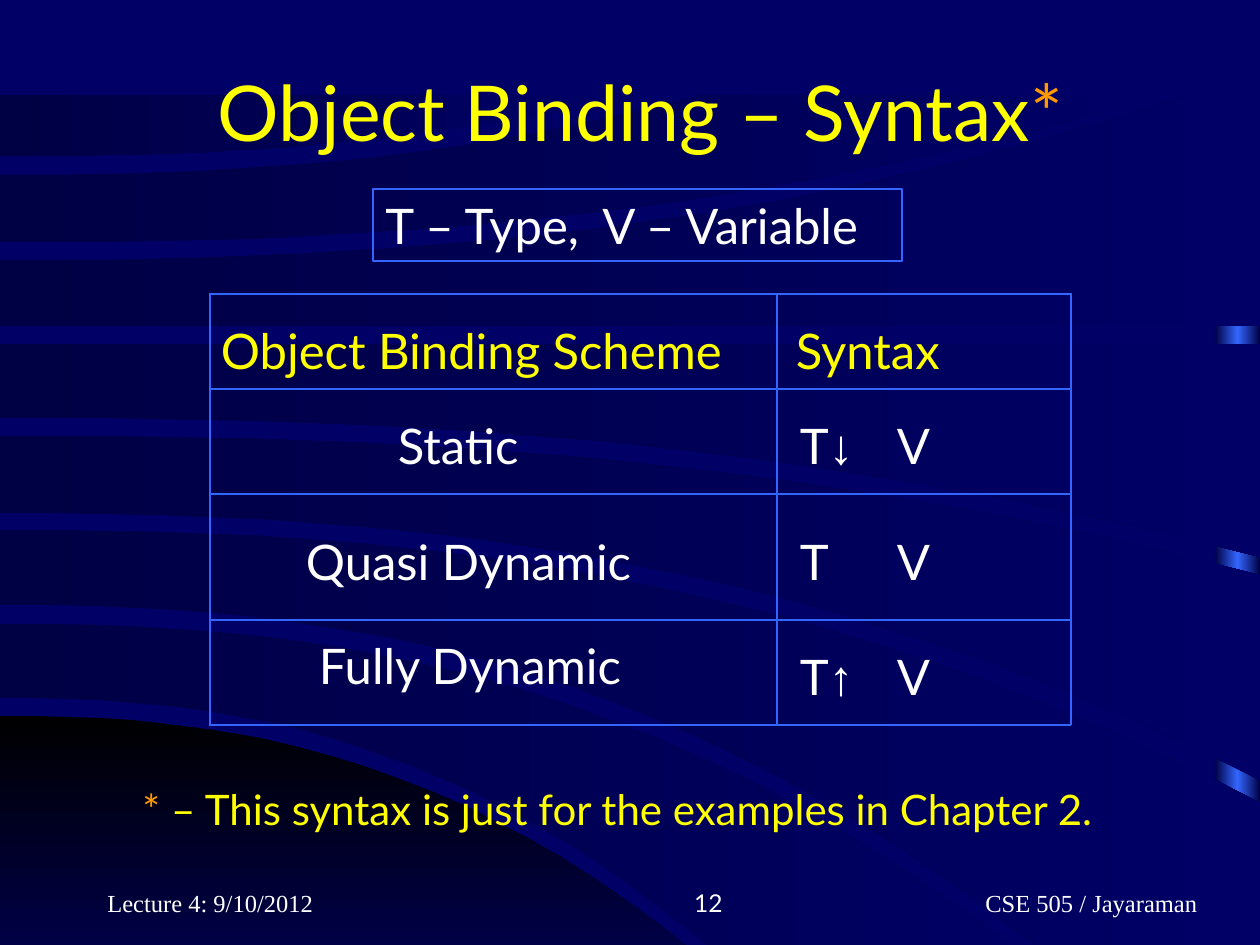
import lxml.etree
import pptx
import pptx.dml.color
import pptx.enum.shapes
import pptx.enum.text
import pptx.oxml
import pptx.oxml.ns
import pptx.util

RGB = pptx.dml.color.RGBColor
NAVY, DARK, BLACK = RGB(0, 0, 0x66), RGB(0, 0, 0x44), RGB(0, 0, 0)
BLUE, WHITE = RGB(0x33, 0x66, 0xFF), RGB(255, 255, 255)
GOLD, ORANGE = RGB(255, 255, 0), RGB(255, 0x99, 0)
ANCHOR, ALIGN = pptx.enum.text.MSO_ANCHOR, pptx.enum.text.PP_ALIGN
RECT = pptx.enum.shapes.MSO_SHAPE.RECTANGLE
LATO, TIMES, ARIAL = "Lato", "Times New Roman", "Arial"
SCALE = 914400 / 126

# Runs are (text, font, size, colour)
TITLE = [("Object Binding – Syntax", LATO, 44, GOLD), ("*", LATO, 44, ORANGE)]
LEGEND = [("T – Type,  V – Variable", LATO, 28, WHITE)]
NOTE = [("* ", LATO, 24, ORANGE),
        ("– This syntax is just for the examples in Chapter 2.", LATO, 24, GOLD)]


def syntax(arrow):
    return [("T", LATO, 28, WHITE), (arrow, ARIAL, 28, WHITE), ("\tV", LATO, 28, WHITE)]


# Each cell: runs, left inset, top inset
ROWS = [
    (([("Object Binding Scheme", LATO, 28, GOLD)], 11, 27),
     ([("Syntax", LATO, 28, GOLD)], 19, 27)),
    (([("Static", LATO, 28, WHITE)], 188, 27), (syntax("↓"), 23, 27)),
    (([("Quasi Dynamic", LATO, 28, WHITE)], 96, 38), (syntax(""), 23, 38)),
    (([("Fully Dynamic", LATO, 28, WHITE)], 109, 16), (syntax("↑"), 23, 27)),
]
WIDTHS, HEIGHTS = (567, 294), (95, 105, 126, 105)
TAB = 97

# Footer: text, font, left, width, alignment
FOOT = [
    ("CSE 505 / Jayaraman", TIMES, 973, 255, ALIGN.LEFT),
    ("12", LATO, 473, 262, ALIGN.RIGHT),
    ("Lecture 4: 9/10/2012", TIMES, 95, 262, ALIGN.LEFT),
]

# Each edge: height at the left side, then the point where it ends
HILL = (716, 793, 1042), (1042, 793, 1042)
BANDS = [
    ((624, 1126, 1040), (698, 810, 1040)),
    ((530, 1260, 803), (605, 1147, 1040)),
    ((436, 1260, 575), (513, 1260, 780)),
    ((344, 1260, 344), (418, 1260, 557)),
    ((260, 1189, 95), (326, 1260, 326)),
    ((175, 702, 95), (242, 1157, 95)),
    ((95, 632, 95), (156, 632, 95)),
]
BEND, STEPS = 2.4, 24


def px(num):
    return round(num * SCALE)


def place(shape, *box):
    shape.left, shape.top, shape.width, shape.height = map(px, box)


def write(frame, runs, align=ALIGN.LEFT):
    para = frame.paragraphs[0]
    para.alignment = align
    for text, font, size, color in runs:
        if text:
            run = para.add_run()
            run.text = text
            run.font.name = font
            run.font.size = pptx.util.Pt(size)
            run.font.color.rgb = color
    return para


def label(shapes, box, runs, align=ALIGN.LEFT, anchor=ANCHOR.TOP, wrap=False):
    frame = shapes.add_textbox(*map(px, box)).text_frame
    frame.word_wrap = wrap
    frame.vertical_anchor = anchor
    write(frame, runs, align)


def shade(shape, colors, angle=0):
    """Fill with evenly spaced colours, without outline or shadow."""
    shape.shadow.inherit = False
    shape.line.fill.background()
    shape.fill.gradient()
    shape.fill.gradient_angle = angle
    stops = shape.element.spPr.find(".//" + pptx.oxml.ns.qn("a:gsLst"))
    for stop in list(stops):
        stops.remove(stop)
    for i, color in enumerate(colors):
        stop = lxml.etree.SubElement(stops, pptx.oxml.ns.qn("a:gs"),
                                     pos=str(100000 * i // (len(colors) - 1)))
        lxml.etree.SubElement(stop, pptx.oxml.ns.qn("a:srgbClr"), val=str(color))


def curve(start, right, end):
    """Points that leave the left side level and bend towards the end."""
    parts = [i / STEPS for i in range(STEPS + 1)]
    return [(right * t, start + (end - start) * t ** BEND) for t in parts]


def band(shapes, upper, lower):
    """Area between two edges, both run level to the farther end."""
    far = max(upper[1], lower[1])
    top, low = (curve(*edge) + [(far, edge[2])] for edge in (upper, lower))
    first, *rest = top + low[::-1]
    build = shapes.build_freeform(*first, scale=SCALE)
    build.add_line_segments(rest, close=True)
    return build.convert_to_shape()


def border(cell):
    props = cell._tc.get_or_add_tcPr()
    for i, side in enumerate(("lnL", "lnR", "lnT", "lnB")):
        props.insert(i, pptx.oxml.parse_xml(
            f'<a:{side} {pptx.oxml.ns.nsdecls("a")} w="9525"><a:solidFill>'
            f'<a:srgbClr val="{BLUE}"/></a:solidFill></a:{side}>'))


def grid(shapes):
    table = shapes.add_table(len(ROWS), len(WIDTHS), px(210), px(294),
                             px(sum(WIDTHS)), px(sum(HEIGHTS))).table
    table.first_row = table.horz_banding = False
    for col, width in zip(table.columns, WIDTHS):
        col.width = px(width)
    for row, height, cells in zip(table.rows, HEIGHTS, ROWS):
        row.height = px(height)
        for cell, (runs, left, top) in zip(row.cells, cells):
            cell.fill.background()
            border(cell)
            cell.margin_left, cell.margin_top = px(left), px(top)
            cell.margin_right = cell.margin_bottom = 0
            para = write(cell.text_frame, runs)
            if len(runs) > 1:
                tabs = lxml.etree.SubElement(para._p.get_or_add_pPr(),
                                             pptx.oxml.ns.qn("a:tabLst"))
                lxml.etree.SubElement(tabs, pptx.oxml.ns.qn("a:tab"),
                                      pos=str(px(TAB)), algn="l")


def main():
    deck = pptx.Presentation()
    deck.slide_width, deck.slide_height = px(1260), px(945)
    slide = deck.slides.add_slide(deck.slide_layouts[5])
    shapes = slide.shapes
    slide.background.fill.solid()
    slide.background.fill.fore_color.rgb = NAVY

    strip = shapes.add_shape(RECT, *map(px, (1215, 97, 45, 848)))
    shade(strip, (DARK, BLUE, DARK))
    shade(band(shapes, *HILL), (BLACK, NAVY), 270)
    for edges in BANDS:
        shade(band(shapes, *edges), (DARK, NAVY))

    title = shapes.title
    shapes.element.append(title.element)  # in front of the bands
    place(title, 105, 32, 1071, 157)
    title.text_frame.vertical_anchor = ANCHOR.MIDDLE
    write(title.text_frame, TITLE, ALIGN.CENTER)

    frame = shapes.add_shape(RECT, *map(px, (373, 189, 529, 72)))
    frame.shadow.inherit = False
    frame.fill.background()
    frame.line.color.rgb = BLUE
    frame.line.width = pptx.util.Pt(0.75)
    frame.text_frame.word_wrap = False
    frame.text_frame.vertical_anchor = ANCHOR.TOP
    write(frame.text_frame, LEGEND)

    grid(shapes)
    label(shapes, (130, 777, 1042, 63), NOTE)
    for text, font, left, width, align in FOOT:
        label(shapes, (left, 861, width, 63), [(text, font, 14, WHITE)],
              align, ANCHOR.BOTTOM, True)
    deck.save("out.pptx")


if __name__ == "__main__":
    main()
